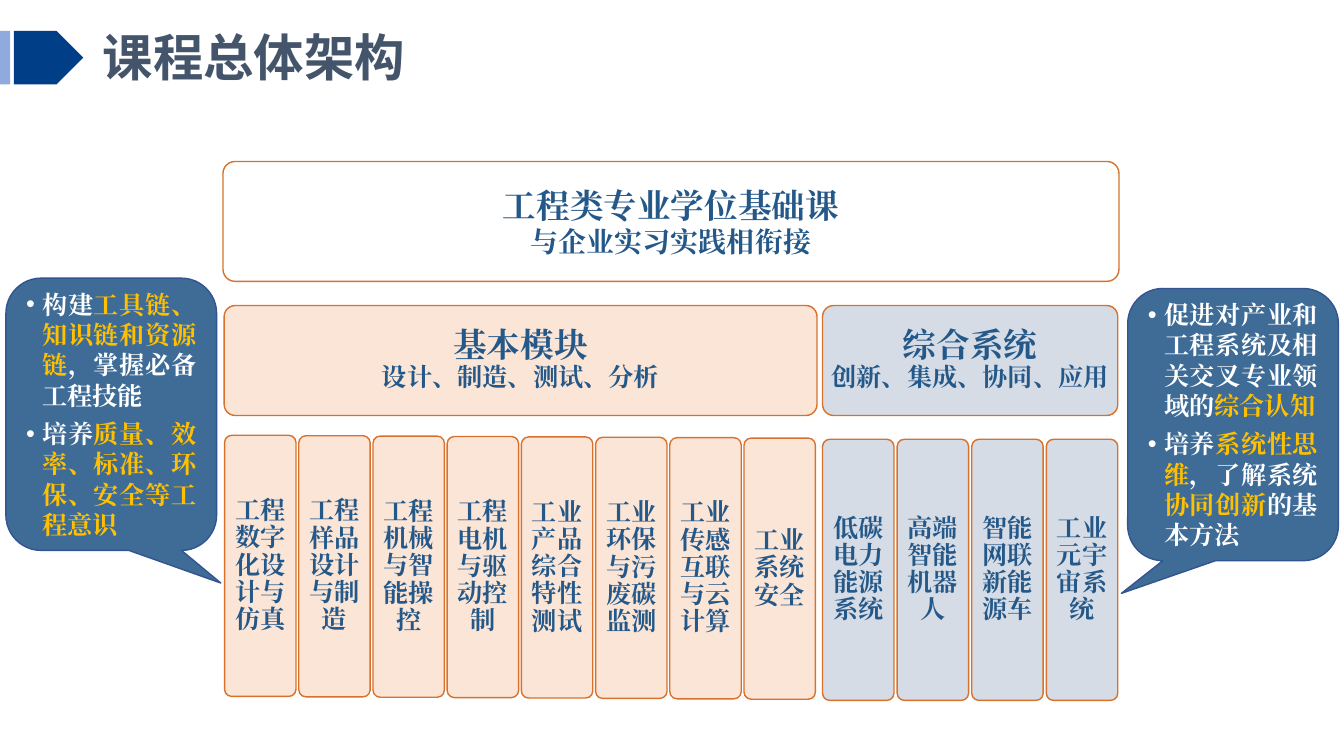
from lxml import etree
from pptx import Presentation
from pptx.dml.color import RGBColor
from pptx.enum.shapes import MSO_SHAPE
from pptx.enum.text import MSO_ANCHOR, PP_ALIGN
from pptx.oxml.ns import qn
from pptx.util import Cm, Pt

RECTANGLE = MSO_SHAPE.RECTANGLE
PENTAGON = MSO_SHAPE.PENTAGON
ROUNDED = MSO_SHAPE.ROUNDED_RECTANGLE
CALLOUT = MSO_SHAPE.ROUNDED_RECTANGULAR_CALLOUT
MIDDLE = MSO_ANCHOR.MIDDLE
LEFT, CENTER, JUSTIFY = PP_ALIGN.LEFT, PP_ALIGN.CENTER, PP_ALIGN.JUSTIFY

PEACH, GREY = "FBE5D6", "D6DCE5"
WHITE, GOLD = "FFFFFF", "FFC000"


def color(value):
    return RGBColor.from_string(value)


class CoursePage:
    """Style of the course slide and a method for each kind of element."""

    body_font = "Times New Roman"
    title_font = "Noto Sans CJK SC"
    text_color = "245889"
    border = "D7712C"

    def __init__(self, deck):
        self.page = deck.slides.add_slide(deck.slide_layouts[6])

    def shape(self, kind, place, fill, line=None, adjustments=()):
        shape = self.page.shapes.add_shape(kind, *map(Cm, place))
        shape.shadow.inherit = False
        shape.fill.solid()
        shape.fill.fore_color.rgb = color(fill)
        if line:
            shape.line.color.rgb = color(line)
            shape.line.width = Pt(1)
        else:
            shape.line.fill.background()
        for index, value in enumerate(adjustments):
            shape.adjustments[index] = value
        return shape

    def frame(self, box, sides=0.25, ends=0.13):
        frame = box.text_frame
        frame.word_wrap = True
        frame.vertical_anchor = MIDDLE
        frame.margin_left = frame.margin_right = Cm(sides)
        frame.margin_top = frame.margin_bottom = Cm(ends)
        return frame

    def format(self, span, size, fill, name=body_font):
        span.font.size = Pt(size)
        span.font.bold = True
        span.font.color.rgb = color(fill)
        span.font.name = name
        east_asian = etree.SubElement(span.font._element, qn("a:ea"))
        east_asian.set("typeface", name)

    def title(self, place, text):
        box = self.page.shapes.add_textbox(*map(Cm, place))
        para = self.frame(box).paragraphs[0]
        para.text = text
        para.alignment = LEFT
        para.line_spacing = 0.9
        self.format(para.runs[0], 36, "44546A", self.title_font)

    def card(self, place, fill, lines, sizes, sides, ends, spacing=0.9):
        box = self.shape(ROUNDED, place, fill, self.border, [0.1])
        frame = self.frame(box, sides, ends)
        frame.text = "\n".join(lines)
        for para, size in zip(frame.paragraphs, sizes):
            para.alignment = CENTER
            para.line_spacing = spacing
            self.format(para.runs[0], size, self.text_color)

    def columns(self, left, top, pitch, drop, fill, names):
        for index, name in enumerate(names):
            place = (left + index * pitch, top + index * drop, 1.8, 6.58)
            self.card(place, fill, [name], [18], 0.18, 0.18)

    def callout(self, place, tip, items):
        box = self.shape(CALLOUT, place, "3E6C97", "325491", [*tip, 0.167])
        frame = self.frame(box)
        for index, spans in enumerate(items):
            para = frame.add_paragraph() if index else frame.paragraphs[0]
            self.bullet(para)
            para.alignment = JUSTIFY
            if index:
                para.space_before = Pt(6)
            for text, fill in spans:
                span = para.add_run()
                span.text = text
                self.format(span, 18, fill)

    def bullet(self, para):
        properties = para._p.get_or_add_pPr()
        properties.set("marL", str(Cm(0.41)))
        properties.set("indent", str(-Cm(0.41)))
        font = etree.SubElement(properties, qn("a:buFont"))
        font.set("typeface", "Arial")
        etree.SubElement(properties, qn("a:buChar")).set("char", "•")


def main():
    deck = Presentation()
    deck.slide_width, deck.slide_height = Cm(33.87), Cm(19.05)
    course = CoursePage(deck)

    # Title with its marker
    course.shape(RECTANGLE, (0, 0.78, 0.26, 1.35), "8FAADC")
    course.shape(PENTAGON, (0.35, 0.78, 1.75, 1.35), "003F87")
    course.title((2.34, 0.51, 23.7, 2.03), "课程总体架构")

    # Foundation course and the two module headings
    course.card((5.62, 4.07, 22.58, 3.02), WHITE,
                ["工程类专业学位基础课", "与企业实习实践相衔接"],
                [24, 20], 0.25, 0.25, 1.0)
    course.card((5.65, 7.7, 14.94, 2.77), PEACH,
                ["基本模块", "设计、制造、测试、分析"], [24, 18], 0.25, 0.25)
    course.card((20.73, 7.7, 7.44, 2.77), GREY,
                ["综合系统", "创新、集成、协同、应用"], [24, 18], 0, 0.25)

    # Courses of each module
    course.columns(5.66, 10.97, 1.87, 0.01, PEACH, [
        "工程数字化设计与仿真", "工程样品设计与制造", "工程机械与智能操控",
        "工程电机与驱动控制", "工业产品综合特性测试", "工业环保与污废碳监测",
        "工业传感互联与云计算", "工业系统安全"])
    course.columns(20.73, 11.07, 1.88, 0, GREY, [
        "低碳电力能源系统", "高端智能机器人", "智能网联新能源车", "工业元宇宙系统"])

    # Goals of each module
    course.callout((0.15, 7.01, 5.31, 6.86), (0.52, 0.62), [
        [("构建", WHITE), ("工具链、知识链和资源链", GOLD),
         ("，掌握必备工程技能", WHITE)],
        [("培养", WHITE), ("质量、效率、标准、环保、安全等工程意识", GOLD)]])
    course.callout((28.42, 7.27, 5.31, 6.86), (-0.53, 0.62), [
        [("促进对产业和工程系统及相关交叉专业领域的", WHITE), ("综合认知", GOLD)],
        [("培养", WHITE), ("系统性思维", GOLD), ("，了解系统", WHITE),
         ("协同创新", GOLD), ("的基本方法", WHITE)]])

    deck.save("out.pptx")


if __name__ == "__main__":
    main()
